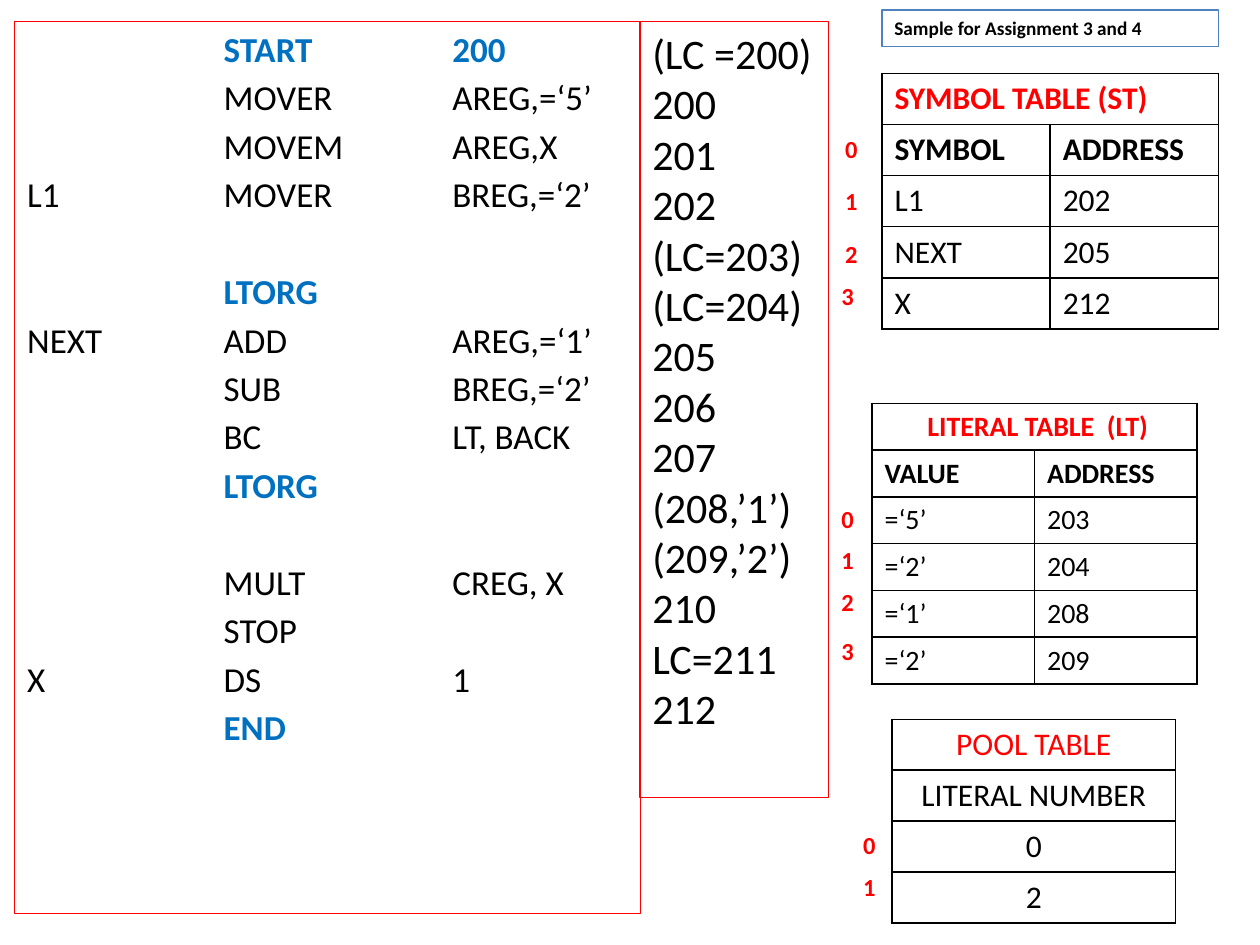
from collections import namedtuple

from lxml import etree
from pptx import Presentation
from pptx.dml.color import RGBColor
from pptx.enum.shapes import MSO_SHAPE
from pptx.enum.text import MSO_ANCHOR, PP_ALIGN
from pptx.oxml.ns import qn
from pptx.util import Cm, Pt

RECTANGLE = MSO_SHAPE.RECTANGLE
TOP = MSO_ANCHOR.TOP
LEFT, CENTER = PP_ALIGN.LEFT, PP_ALIGN.CENTER
BLACK = RGBColor(0x00, 0x00, 0x00)
RED = RGBColor(0xFF, 0x00, 0x00)
BLUE = RGBColor(0x00, 0x70, 0xC0)
STEEL = RGBColor(0x4F, 0x81, 0xBD)
FONT = "Calibri"

Box = namedtuple("Box", "left top width height")

CODE_TABS = (3.96, 8.57)
LINE_GAP, BLOCK_GAP = Pt(3.6), Pt(31.6)
DIRECTIVES = {"START", "LTORG", "END"}
CODE_BLOCKS = [
    [("", "START", "200"), ("", "MOVER", "AREG,=‘5’"),
     ("", "MOVEM", "AREG,X"), ("L1", "MOVER", "BREG,=‘2’")],
    [("", "LTORG", ""), ("NEXT", "ADD", "AREG,=‘1’"),
     ("", "SUB", "BREG,=‘2’"), ("", "BC", "LT, BACK"), ("", "LTORG", "")],
    [("", "MULT", "CREG, X"), ("", "STOP", ""), ("X", "DS", "1"), ("", "END", "")],
]
COUNTER_LINES = [
    "(LC =200)", "200", "201", "202", "(LC=203)", "(LC=204)", "205", "206",
    "207", "(208,’1’)", "(209,’2’)", "210", "LC=211", "212",
]
SYMBOL_ROWS = [["SYMBOL", "ADDRESS"], ["L1", "202"], ["NEXT", "205"], ["X", "212"]]
LITERAL_ROWS = [["VALUE", "ADDRESS"], ["=‘5’", "203"], ["=‘2’", "204"],
                ["=‘1’", "208"], ["=‘2’", "209"]]
POOL_ROWS = [["LITERAL NUMBER"], ["0"], ["2"]]


def add_span(para, text, size, color=BLACK, bold=False):
    """Append one formatted run to a paragraph."""
    span = para.add_run()
    span.text = text
    span.font.name = FONT
    span.font.size = Pt(size)
    span.font.bold = bold
    span.font.color.rgb = color


def next_para(frame, index):
    """Return the first paragraph of a frame, or a new one after it."""
    para = frame.paragraphs[0] if index == 0 else frame.add_paragraph()
    para.alignment = LEFT
    return para


def add_panel(page, box, line_color):
    """Draw an unfilled outlined rectangle and return its text frame."""
    panel = page.shapes.add_shape(RECTANGLE, *(Cm(value) for value in box))
    panel.shadow.inherit = False
    panel.fill.background()
    panel.line.color.rgb = line_color
    panel.line.width = Pt(0.75)
    frame = panel.text_frame
    frame.word_wrap = True
    frame.vertical_anchor = TOP
    return frame


def set_tabs(para, stops):
    """Give a paragraph left tab stops."""
    tabs = etree.SubElement(para._p.get_or_add_pPr(), qn("a:tabLst"))
    for stop in stops:
        etree.SubElement(tabs, qn("a:tab"), pos=str(Cm(stop)), algn="l")


def add_code(page, box):
    """Place the assembly listing in three tabbed columns."""
    frame = add_panel(page, box, RED)
    index = 0
    for block in CODE_BLOCKS:
        for row, (label, opcode, operand) in enumerate(block):
            para = next_para(frame, index)
            if index:
                para.space_before = LINE_GAP if row else BLOCK_GAP
            set_tabs(para, CODE_TABS)
            marked = opcode in DIRECTIVES
            color = BLUE if marked else BLACK
            add_span(para, label + "\t", 20)
            add_span(para, opcode, 20, color, marked)
            if operand:
                add_span(para, "\t" + operand, 20, color, marked)
            index += 1


def add_lines(page, box, line_color, lines, size, bold=False):
    """Place an outlined panel with one paragraph per line."""
    frame = add_panel(page, box, line_color)
    for index, line in enumerate(lines):
        add_span(next_para(frame, index), line, size, bold=bold)


def set_borders(cell):
    """Draw a thin black border on all sides of a cell."""
    props = cell._tc.get_or_add_tcPr()
    for position, side in enumerate(("a:lnL", "a:lnR", "a:lnT", "a:lnB")):
        line = etree.Element(qn(side), w=str(Pt(1)))
        fill = etree.SubElement(line, qn("a:solidFill"))
        etree.SubElement(fill, qn("a:srgbClr"), val=str(BLACK))
        props.insert(position, line)


def add_index(page, left, top, number):
    """Place one red row number."""
    box = page.shapes.add_textbox(Cm(left), Cm(top), Cm(0.76), Cm(0.86))
    box.text_frame.word_wrap = False
    add_span(next_para(box.text_frame, 0), str(number), 14, RED, True)


def add_lookup(page, box, title, rows, size, indexes,
               bold=True, title_align=LEFT, body_align=LEFT):
    """Place a titled table with row numbers offset from its corner."""
    count, width = len(rows) + 1, len(rows[0])
    table = page.shapes.add_table(count, width, *(Cm(value) for value in box)).table
    table.first_row = table.horz_banding = False
    for column in table.columns:
        column.width = Cm(box.width / width)
    for row in table.rows:
        row.height = Cm(box.height / count)
    if width > 1:
        table.cell(0, 0).merge(table.cell(0, width - 1))
    for cell in table.iter_cells():
        cell.fill.background()
        set_borders(cell)
    for y, texts in enumerate([[title]] + rows):
        for x, text in enumerate(texts):
            para = table.cell(y, x).text_frame.paragraphs[0]
            para.alignment = body_align if y else title_align
            add_span(para, text, size, BLACK if y else RED, bold and y < 2)
    for number, (dx, dy) in enumerate(indexes):
        add_index(page, box.left + dx, box.top + dy, number)


def main():
    """Build the deck and save it."""
    deck = Presentation()
    deck.slide_width, deck.slide_height = Cm(25.4), Cm(19.05)
    page = deck.slides.add_slide(deck.slide_layouts[6])
    add_code(page, Box(0.3, 0.43, 12.62, 17.98))
    add_lines(page, Box(12.9, 0.43, 3.81, 15.65), RED, COUNTER_LINES, 24)
    add_lines(page, Box(17.78, 0.2, 6.78, 0.74), STEEL,
              ["Sample for Assignment 3 and 4"], 11, bold=True)
    add_lookup(page, Box(17.78, 1.48, 6.78, 5.08), "SYMBOL TABLE (ST)", SYMBOL_ROWS, 18,
               [(-0.99, 1.09), (-0.99, 2.15), (-0.99, 3.22), (-1.07, 4.06)])
    add_lookup(page, Box(17.58, 8.13, 6.55, 5.66), " LITERAL TABLE  (LT)", LITERAL_ROWS, 16,
               [(-0.87, dy) for dy in (1.9, 2.74, 3.58, 4.57)], title_align=CENTER)
    add_lookup(page, Box(17.98, 14.5, 5.72, 4.11), "POOL TABLE", POOL_ROWS, 18,
               [(-0.83, dy) for dy in (2.11, 2.95)],
               bold=False, title_align=CENTER, body_align=CENTER)
    deck.save("out.pptx")


main()
